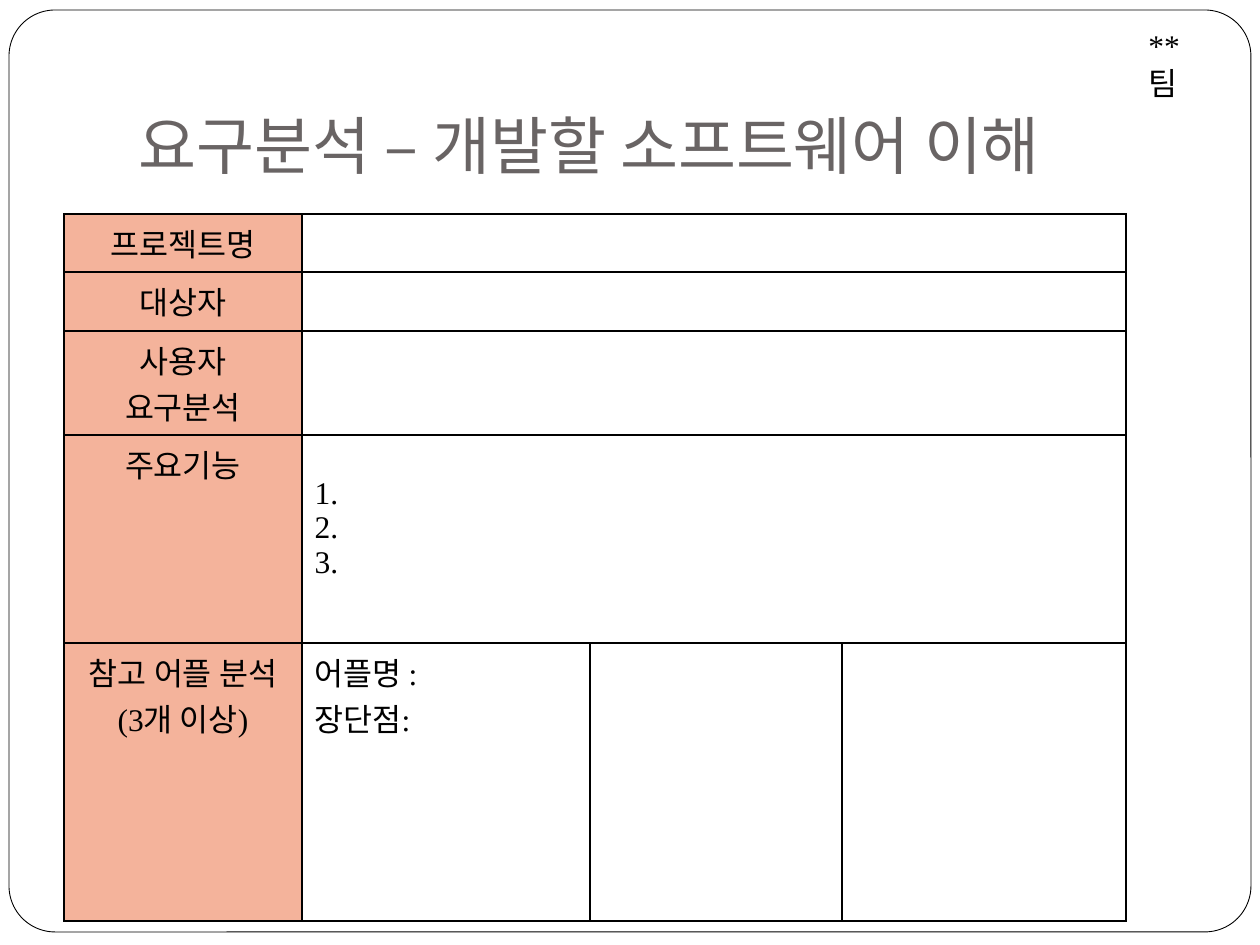
from lxml.etree import SubElement
from pptx import Presentation
from pptx.dml.color import RGBColor
from pptx.enum.shapes import MSO_SHAPE
from pptx.enum.text import MSO_ANCHOR, PP_ALIGN
from pptx.oxml.ns import qn
from pptx.util import Pt

PX = 914400 // 126
COLORS = {"paper": "FFFFFF", "ink": "000000", "title": "696464", "label": "F4B39B"}
BODY_FONT = "Times New Roman"

TITLE = "요구분석 – 개발할 소프트웨어 이해"
TEAM = "**팀"
COLUMN_WIDTHS = [238, 288, 252, 284]
ROWS = [
    (58, ["프로젝트명"], []),
    (59, ["대상자"], []),
    (104, ["사용자", "요구분석"], []),
    (208, ["주요기능"], ["1.", "2.", "3."]),
    (278, ["참고 어플 분석", "(3개 이상)"], ["어플명 :", "장단점:"]),
]
FEATURE_ROW = 3
APP_ROW = 4
FEATURE_TOP_MARGIN = 41


def px(*lengths):
    return [length * PX for length in lengths]


def color(name):
    return RGBColor.from_string(COLORS[name])


def write(frame, lines, size=18, font=BODY_FONT, ink="ink", align=PP_ALIGN.LEFT):
    for index, line in enumerate(lines):
        paragraph = frame.add_paragraph() if index else frame.paragraphs[0]
        paragraph.alignment = align
        run = paragraph.add_run()
        run.text = line
        run.font.size = Pt(size)
        run.font.name = font
        run.font.color.rgb = color(ink)


def add_text(slide, box, text, **style):
    frame = slide.shapes.add_textbox(*px(*box)).text_frame
    frame.word_wrap = True
    write(frame, [text], **style)
    return frame


def set_borders(cell):
    properties = cell._tc.get_or_add_tcPr()
    for position, side in enumerate(("lnL", "lnR", "lnT", "lnB")):
        line = SubElement(properties, qn(f"a:{side}"), w=str(Pt(1)))
        fill = SubElement(line, qn("a:solidFill"))
        SubElement(fill, qn("a:srgbClr"), val=COLORS["ink"])
        properties.insert(position, line)


def add_frame(slide):
    shape = slide.shapes.add_shape(MSO_SHAPE.ROUNDED_RECTANGLE, *px(9, 10, 1242, 922))
    shape.adjustments[0] = 0.05
    shape.shadow.inherit = False
    shape.fill.solid()
    shape.fill.fore_color.rgb = color("paper")
    shape.line.color.rgb = color("ink")
    shape.line.width = Pt(0.5)


def add_analysis_table(slide):
    width, height = sum(COLUMN_WIDTHS), sum(row[0] for row in ROWS)
    table = slide.shapes.add_table(
        len(ROWS), len(COLUMN_WIDTHS), *px(64, 214, width, height)
    ).table
    for column, column_width in zip(table.columns, COLUMN_WIDTHS):
        column.width = column_width * PX
    for index, (row_height, labels, content) in enumerate(ROWS):
        table.rows[index].height = row_height * PX
        cells = list(table.rows[index].cells)
        for position, cell in enumerate(cells):
            cell.fill.solid()
            cell.fill.fore_color.rgb = color("paper" if position else "label")
            set_borders(cell)
        write(cells[0].text_frame, labels, align=PP_ALIGN.CENTER)
        write(cells[1].text_frame, content)
        if index != APP_ROW:
            cells[1].merge(cells[-1])
    table.cell(FEATURE_ROW, 1).margin_top = FEATURE_TOP_MARGIN * PX


def main():
    presentation = Presentation()
    presentation.slide_width, presentation.slide_height = px(1260, 945)
    slide = presentation.slides.add_slide(presentation.slide_layouts[6])
    add_frame(slide)
    title = add_text(slide, (126, 38, 1071, 157), TITLE, size=36, font="Karla", ink="title")
    title.vertical_anchor = MSO_ANCHOR.BOTTOM
    title.margin_bottom = 13 * PX
    add_analysis_table(slide)
    team = add_text(slide, (1136, 20, 87, 50), TEAM)
    team.margin_right = 24 * PX
    presentation.save("out.pptx")


if __name__ == "__main__":
    main()
